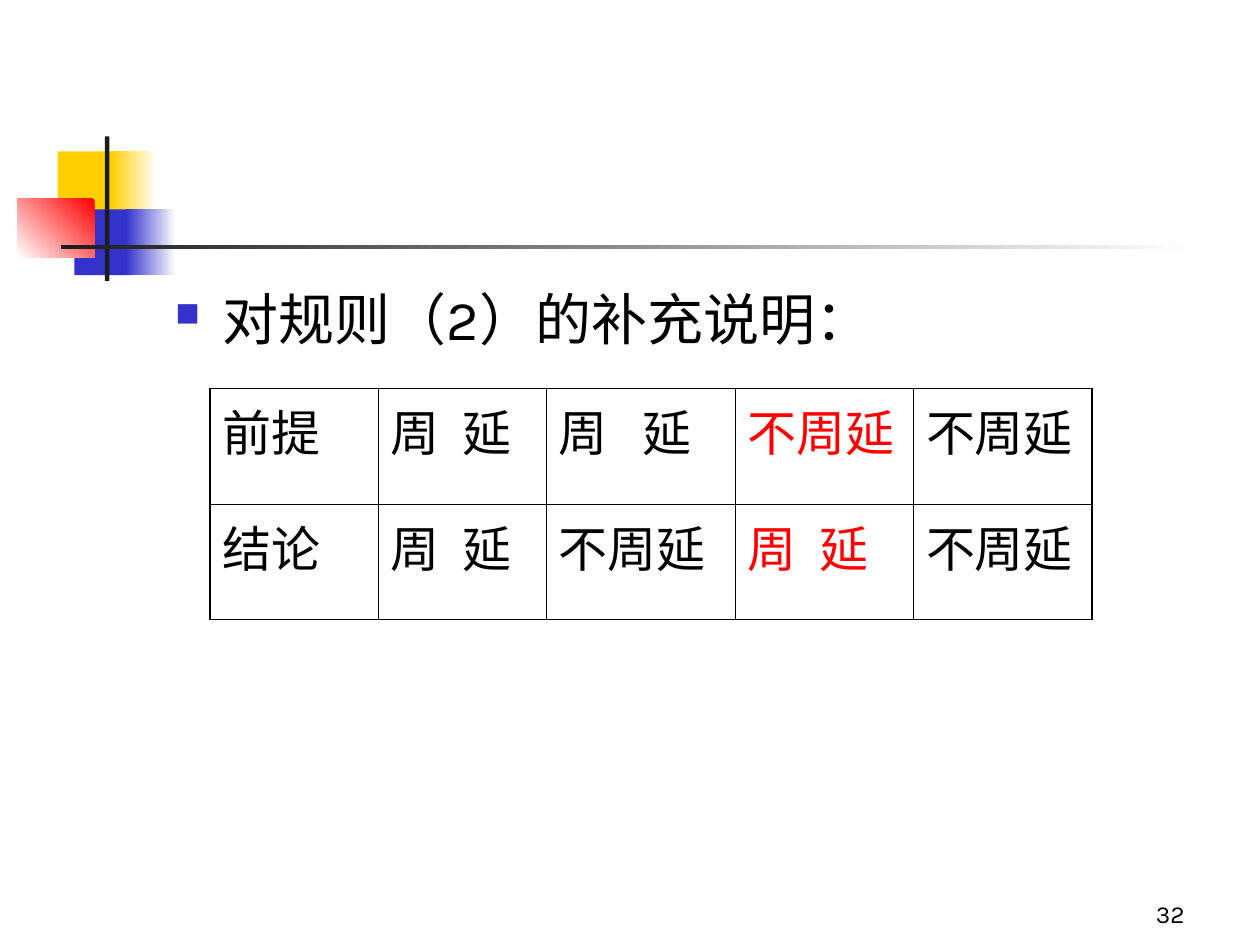
import pptx
import pptx.util
import pptx.dml.color
import pptx.enum.shapes
import pptx.enum.text
import pptx.oxml
import pptx.oxml.ns

Pt = pptx.util.Pt

THEME = {
    "font": "Karla",
    "ink": "000000", "highlight": "FF0000", "paper": "FFFFFF",
    "yellow": "FFCF01", "blue": "3333CC", "red": "FF0000", "rule": "1C1C1C",
    "statement_size": 32, "cell_size": 28, "number_size": 14,
    "outer_border": 1.08, "inner_border": 0.45,
}

STATEMENT = "对规则（2）的补充说明："
PAGE_NUMBER = "32"

# Each cell: text, extra width of its space in points, colour
ROWS = [
    [("前提", 0, "ink"), ("周 延", 7, "ink"), ("周 延", 14, "ink"),
     ("不周延", 0, "highlight"), ("不周延", 0, "ink")],
    [("结论", 0, "ink"), ("周 延", 7, "ink"), ("不周延", 0, "ink"),
     ("周 延", 7, "highlight"), ("不周延", 0, "ink")],
]
COLUMN_WIDTHS = [96, 96, 108, 102, 102]
ROW_HEIGHT = 66
TABLE_LEFT, TABLE_TOP = 120, 222

# Each block: left, top, width, height, first colour, second colour, angle
ORNAMENT = [
    (33, 86.5, 34.5, 37.5, "yellow", None, 0),
    (63.5, 86.5, 26, 37.5, "paper", "yellow", 180),
    (42.5, 119.7, 33, 37.5, "blue", None, 0),
    (72, 119.7, 28.5, 37.5, "paper", "blue", 180),
    (10, 113.7, 44, 33.5, "red", "paper", 225),
    (60, 78, 2.5, 82.5, "rule", None, 0),
    (35, 140, 648, 2.5, "paper", "rule", 180),
]


def colour(name):
    return pptx.dml.color.RGBColor.from_string(THEME[name])


def style_run(run, size, ink="ink"):
    run.font.name = THEME["font"]
    run.font.size = Pt(THEME[size])
    run.font.color.rgb = colour(ink)


def add_block(slide, left, top, width, height, first, second, angle):
    block = slide.shapes.add_shape(
        pptx.enum.shapes.MSO_SHAPE.RECTANGLE,
        Pt(left), Pt(top), Pt(width), Pt(height))
    block.shadow.inherit = False
    block.line.fill.background()
    if second is None:
        block.fill.solid()
        block.fill.fore_color.rgb = colour(first)
        return
    block.fill.gradient()
    block.fill.gradient_angle = angle
    for stop, name in zip(block.fill.gradient_stops, (first, second)):
        stop.color.rgb = colour(name)


def add_text(slide, left, top, width, height, text, size):
    box = slide.shapes.add_textbox(Pt(left), Pt(top), Pt(width), Pt(height))
    box.text_frame.word_wrap = True
    paragraph = box.text_frame.paragraphs[0]
    paragraph.text = text
    style_run(paragraph.runs[0], size)
    return box.text_frame


def add_square_bullet(paragraph):
    properties = paragraph._p.get_or_add_pPr()
    properties.set("marL", str(Pt(27)))
    properties.set("indent", str(Pt(-27)))
    namespace = pptx.oxml.ns.nsdecls("a")
    for element in (
        f'<a:buClr {namespace}><a:srgbClr val="{THEME["blue"]}"/></a:buClr>',
        f'<a:buSzPct {namespace} val="60000"/>',
        f'<a:buChar {namespace} char="■"/>',
    ):
        properties.append(pptx.oxml.parse_xml(element))


def add_borders(cell, outer_sides):
    properties = cell._tc.get_or_add_tcPr()
    for side in "LRTB":
        weight = THEME["outer_border" if side in outer_sides else "inner_border"]
        properties.append(pptx.oxml.parse_xml(
            f'<a:ln{side} {pptx.oxml.ns.nsdecls("a")} w="{Pt(weight)}">'
            f'<a:solidFill><a:srgbClr val="{THEME["ink"]}"/></a:solidFill>'
            f'</a:ln{side}>'))


def fill_cell(cell, text, extra_gap, ink):
    """Write the cell, widening its space by character spacing."""
    paragraph = cell.text_frame.paragraphs[0]
    for part in text.partition(" "):
        if part:
            run = paragraph.add_run()
            run.text = part
            style_run(run, "cell_size", ink)
            if part == " ":
                run.font._element.set("spc", str(extra_gap * 100))


def add_comparison(slide):
    table = slide.shapes.add_table(
        len(ROWS), len(COLUMN_WIDTHS), Pt(TABLE_LEFT), Pt(TABLE_TOP),
        Pt(sum(COLUMN_WIDTHS)), Pt(ROW_HEIGHT * len(ROWS))).table
    table.first_row = table.horz_banding = False
    for column, width in zip(table.columns, COLUMN_WIDTHS):
        column.width = Pt(width)
    for r, entries in enumerate(ROWS):
        table.rows[r].height = Pt(ROW_HEIGHT)
        for c, entry in enumerate(entries):
            cell = table.cell(r, c)
            edges = {"L": c == 0, "R": c == len(entries) - 1,
                     "T": r == 0, "B": r == len(ROWS) - 1}
            add_borders(cell, [side for side, outer in edges.items() if outer])
            cell.fill.background()
            fill_cell(cell, *entry)


def main():
    deck = pptx.Presentation()
    deck.slide_width, deck.slide_height = Pt(720), Pt(540)
    slide = deck.slides.add_slide(deck.slide_layouts[6])
    for block in ORNAMENT:
        add_block(slide, *block)
    statement = add_text(slide, 93, 159, 612, 324, STATEMENT, "statement_size")
    add_square_bullet(statement.paragraphs[0])
    add_comparison(slide)
    number = add_text(slide, 534, 498, 150, 36, PAGE_NUMBER, "number_size")
    number.vertical_anchor = pptx.enum.text.MSO_ANCHOR.BOTTOM
    number.paragraphs[0].alignment = pptx.enum.text.PP_ALIGN.RIGHT
    deck.save("out.pptx")


if __name__ == "__main__":
    main()
